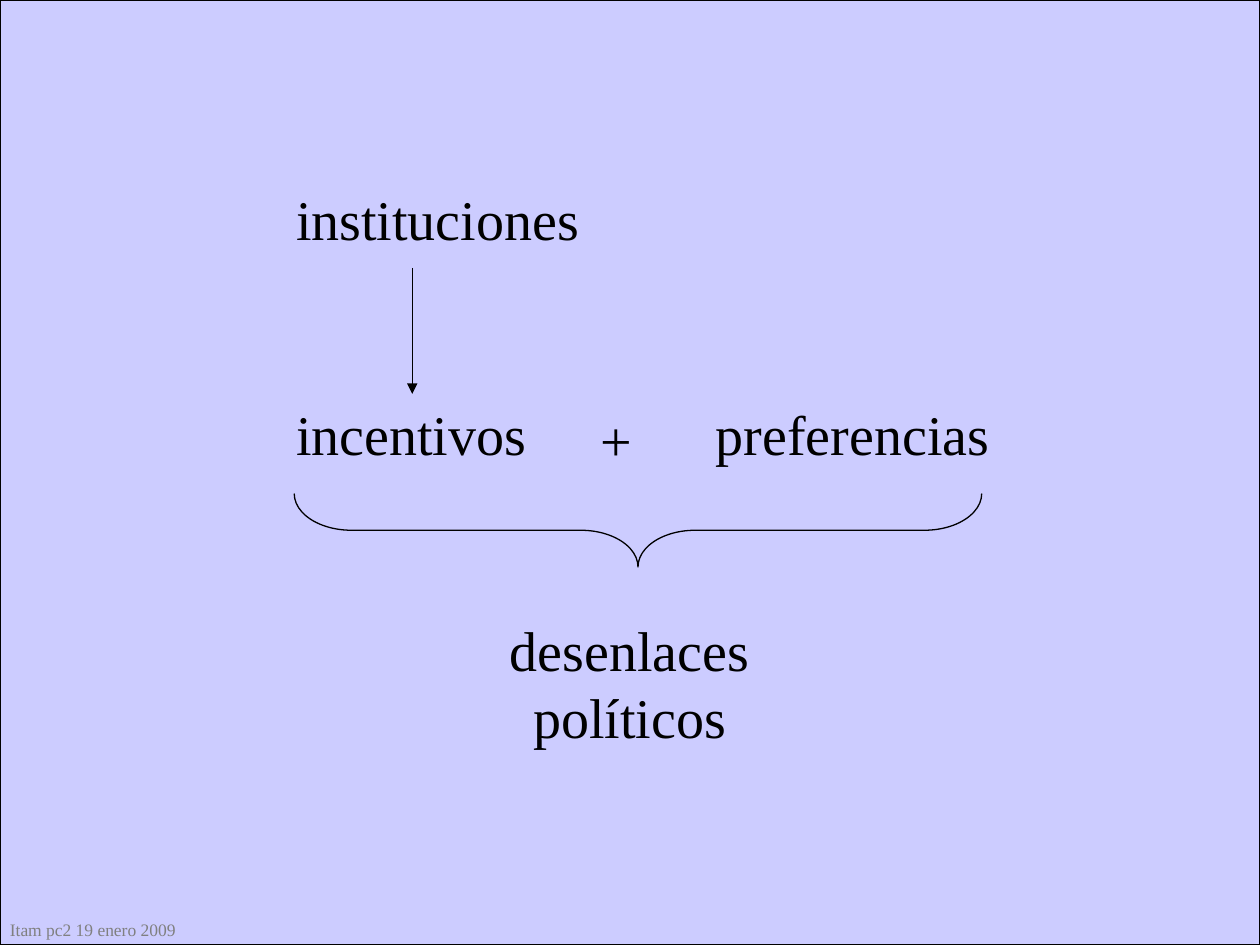
from lxml.etree import SubElement
from pptx import Presentation
from pptx.dml.color import RGBColor
from pptx.enum.shapes import MSO_CONNECTOR, MSO_SHAPE
from pptx.enum.text import PP_ALIGN
from pptx.oxml.ns import qn
from pptx.util import Cm, Pt

COLORS = {"back": "CCCCFF", "ink": "000000", "foot": "808080"}


class Sketch:
    font = "Times New Roman"
    size = 32
    weight = 0.75

    def __init__(self, slide):
        self.shapes = slide.shapes

    def color(self, name):
        return RGBColor.from_string(COLORS[name])

    def stroke(self, shape):
        shape.line.color.rgb = self.color("ink")
        shape.line.width = Pt(self.weight)

    def shape(self, kind, box, fill=None):
        shape = self.shapes.add_shape(kind, *map(Cm, box))
        shape.shadow.inherit = False
        if fill:
            shape.fill.solid()
            shape.fill.fore_color.rgb = self.color(fill)
        else:
            shape.fill.background()
        self.stroke(shape)
        return shape

    def brace(self, left, top, width, height):
        shift = (width - height) / 2
        brace = self.shape(MSO_SHAPE.RIGHT_BRACE,
                           (left + shift, top - shift, height, width))
        brace.rotation = 90
        brace.adjustments[0] = 0.78

    def text(self, words, box, size=None, color="ink", align=PP_ALIGN.LEFT):
        frame = self.shapes.add_textbox(*map(Cm, box)).text_frame
        frame.word_wrap = True
        frame.text = words
        para = frame.paragraphs[0]
        para.alignment = align
        font = para.runs[0].font
        font.name = self.font
        font.size = Pt(size or self.size)
        font.color.rgb = self.color(color)

    def arrow(self, x, top, end):
        line = self.shapes.add_connector(
            MSO_CONNECTOR.STRAIGHT, Cm(x), Cm(top), Cm(x), Cm(end))
        self.stroke(line)
        SubElement(line.line._get_or_add_ln(), qn("a:tailEnd"), type="triangle")
        SubElement(line._element.spPr, qn("a:effectLst"))


def main():
    deck = Presentation()
    deck.slide_width, deck.slide_height = Cm(25.4), Cm(19.05)
    sketch = Sketch(deck.slides.add_slide(deck.slide_layouts[6]))

    sketch.shape(MSO_SHAPE.RECTANGLE, (0, 0, 25.4, 19.05), "back")
    sketch.text("Itam pc2 19 enero 2009", (-0.05, 18.4, 4.7, 0.68), 10, "foot")

    left, row = 5.72, 7.92
    sketch.text("instituciones", (left, 3.6, 6.77, 1.63))
    sketch.text("incentivos", (left, row, 5.93, 1.63))
    sketch.text("preferencias", (14.18, row, 6.77, 1.63))
    sketch.text("+", (11.85, 8.05, 1.27, 1.63))
    sketch.brace(5.93, 9.95, 13.86, 1.48)
    sketch.text("desenlaces políticos", (9.31, 12.28, 6.77, 2.97),
                align=PP_ALIGN.CENTER)
    sketch.arrow(8.31, 5.4, 7.94)

    deck.save("out.pptx")


if __name__ == "__main__":
    main()
